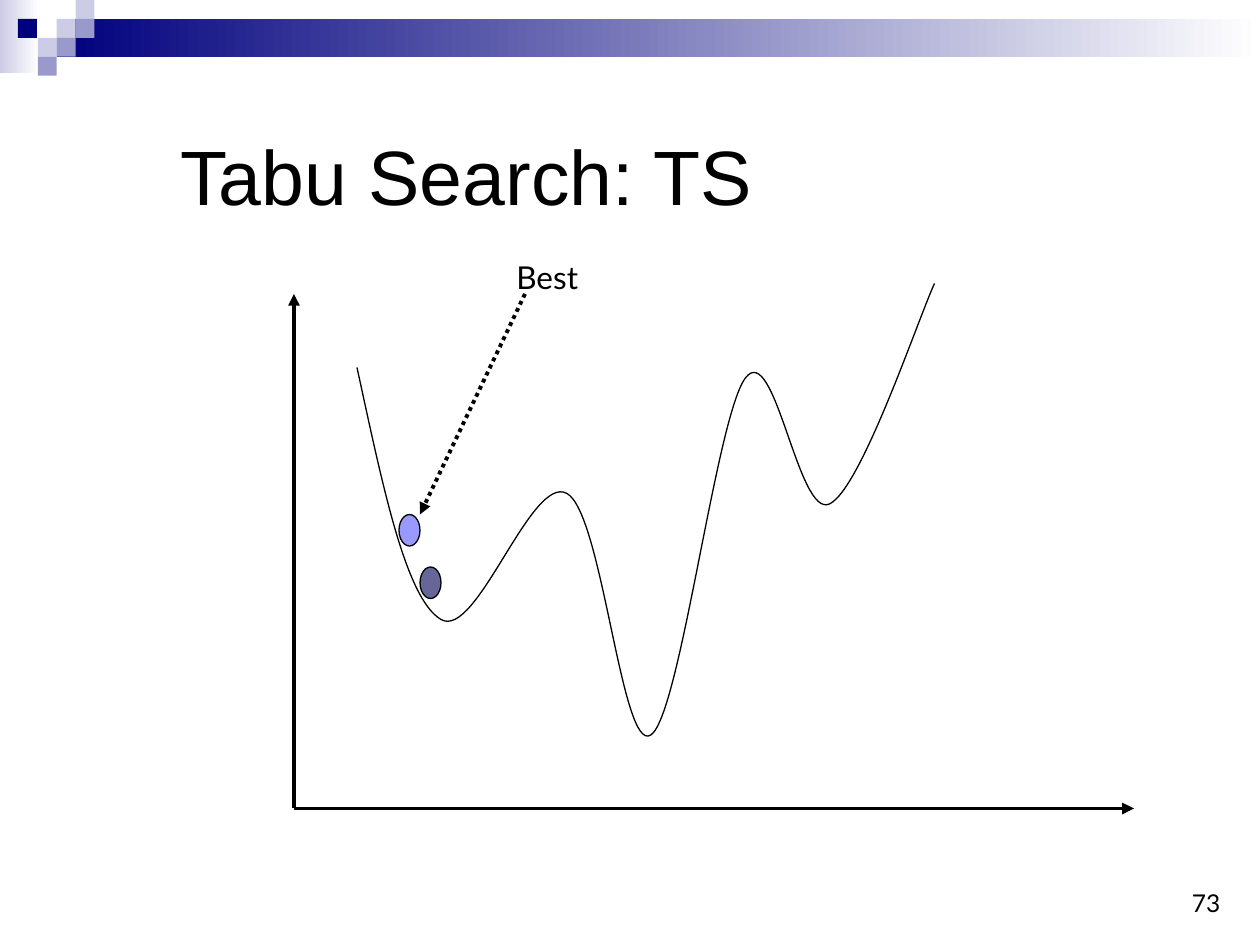
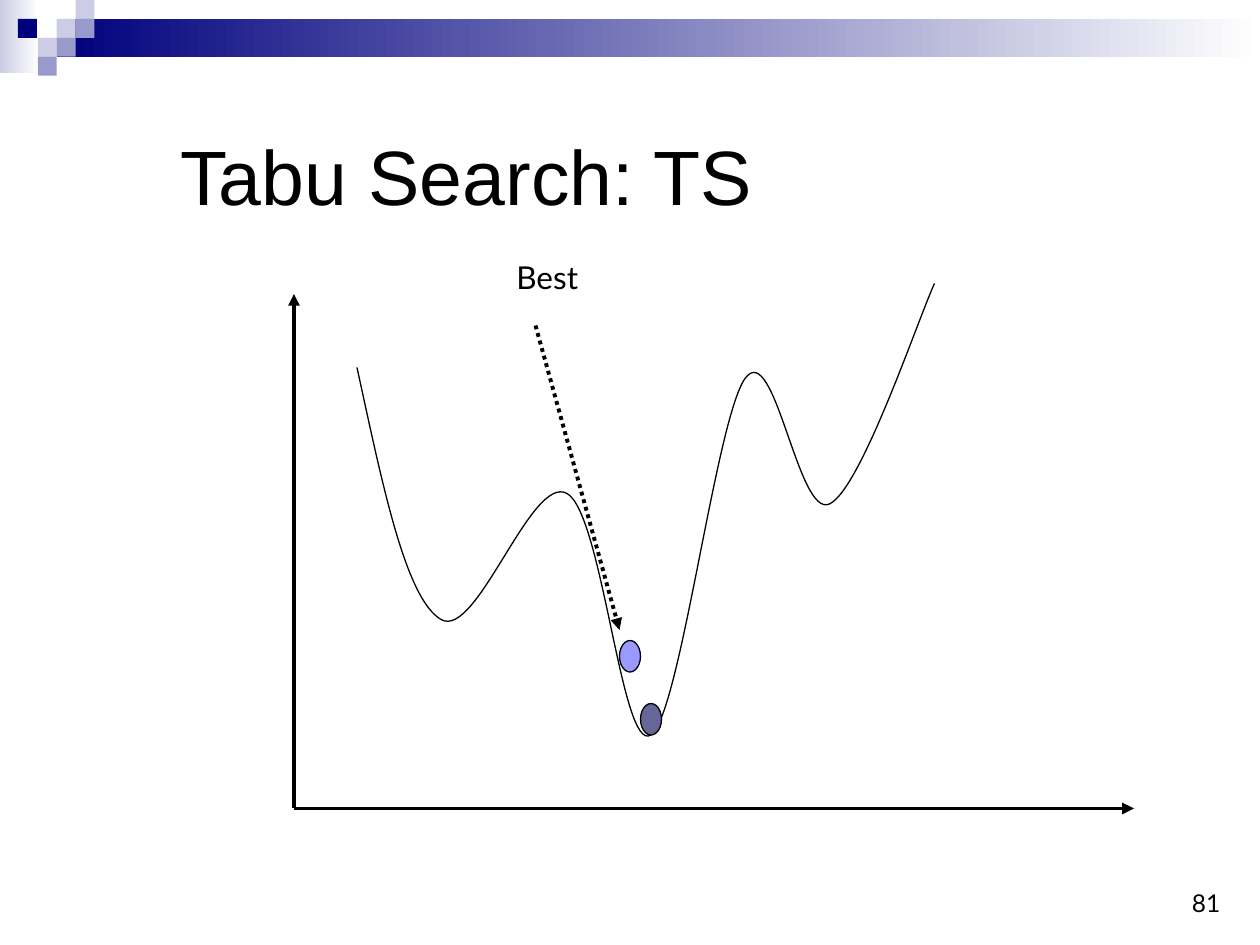
"""Build two slides that follow tabu search along a cost curve."""
from pptx import Presentation
from pptx.dml.color import RGBColor
from pptx.enum.dml import MSO_LINE
from pptx.enum.shapes import MSO_CONNECTOR, MSO_SHAPE
from pptx.enum.text import MSO_ANCHOR, PP_ALIGN
from pptx.oxml.ns import qn
from pptx.util import Inches, Pt
from lxml import etree

WIDTH, HEIGHT = Inches(10), Inches(7.5)
COLUMNS, ROWS = 120, 90
TILE = 1.8

BLACK = RGBColor(0x00, 0x00, 0x00)
WHITE = RGBColor(0xFF, 0xFF, 0xFF)
NAVY = RGBColor(0x00, 0x00, 0x7D)
LAVENDER = RGBColor(0xCC, 0xCC, 0xE6)
PERIWINKLE = RGBColor(0x99, 0x99, 0xCC)
BEST_BLUE = RGBColor(0x99, 0x99, 0xFF)
CURRENT_BLUE = RGBColor(0x66, 0x66, 0x99)

TITLE_FONT, BODY_FONT = "Arial", "Lato"
RECTANGLE, OVAL = MSO_SHAPE.RECTANGLE, MSO_SHAPE.OVAL
STRAIGHT = MSO_CONNECTOR.STRAIGHT
DOTTED = MSO_LINE.ROUND_DOT
LEFT, RIGHT = PP_ALIGN.LEFT, PP_ALIGN.RIGHT
TOP, MIDDLE, BOTTOM = MSO_ANCHOR.TOP, MSO_ANCHOR.MIDDLE, MSO_ANCHOR.BOTTOM
ARROW_AT_START, ARROW_AT_END = "a:headEnd", "a:tailEnd"

TILES = [(3, 1, LAVENDER), (4, 0, LAVENDER), (4, 1, PERIWINKLE),
         (2, 2, LAVENDER), (0.95, 1, NAVY), (3, 2, PERIWINKLE),
         (2, 3, PERIWINKLE)]

ORIGIN, X_END, Y_END = (28, 77), (108, 77), (28, 28)
CURVE_START = (34, 35)
CURVE = [(36.4, 46), (38.6, 57), (42, 59),
         (45.4, 61), (50.6, 45.1), (54, 47),
         (57.4, 48.9), (59.2, 71.9), (62, 70),
         (64.8, 68.1), (68.2, 39.7), (71, 36),
         (73.8, 32.3), (76, 49.4), (79, 48),
         (82, 46.6), (87.4, 30.5), (89, 27)]

SEARCH_STATES = [
    {"number": "73", "best": (38, 49), "current": (40, 54),
     "pointer": ((50, 28), (40, 49))},
    {"number": "81", "best": (59, 61), "current": (61, 67),
     "pointer": ((51, 31), (59, 60))},
]


def across(columns):
    """Turn grid columns into a length."""
    return round(WIDTH * columns / COLUMNS)


def down(rows):
    """Turn grid rows into a length."""
    return round(HEIGHT * rows / ROWS)


def add_block(page, kind, place, color, fade=False, outlined=False):
    """Add a filled preset shape, optionally fading to white."""
    left, top, width, height = place
    block = page.shapes.add_shape(
        kind, across(left), down(top), across(width), down(height))
    block.shadow.inherit = False
    if fade:
        block.fill.gradient()
        block.fill.gradient_angle = 0
        for stop, shade in zip(block.fill.gradient_stops, (color, WHITE)):
            stop.color.rgb = shade
    else:
        block.fill.solid()
        block.fill.fore_color.rgb = color
    if outlined:
        block.line.color.rgb = BLACK
        block.line.width = Pt(0.75)
    else:
        block.line.fill.background()


def add_text(page, place, text, size, font=BODY_FONT, align=LEFT, anchor=TOP):
    """Add a one-line text box."""
    left, top, width, height = place
    box = page.shapes.add_textbox(
        across(left), down(top), across(width), down(height))
    frame = box.text_frame
    frame.word_wrap = True
    frame.vertical_anchor = anchor
    para = frame.paragraphs[0]
    para.alignment = align
    span = para.add_run()
    span.text = text
    span.font.name = font
    span.font.size = Pt(size)
    span.font.color.rgb = BLACK


def add_arrow(page, start, end, tip=ARROW_AT_END, dash=None):
    """Add a straight arrow between two grid points."""
    arrow = page.shapes.add_connector(
        STRAIGHT, across(start[0]), down(start[1]),
        across(end[0]), down(end[1]))
    arrow.line.color.rgb = BLACK
    arrow.line.width = Pt(2.25)
    if dash is not None:
        arrow.line.dash_style = dash
    etree.SubElement(arrow.get_or_add_ln(), qn(tip), type="triangle")
    etree.SubElement(arrow.element.spPr, qn("a:effectLst"))


def bend_segments(outline):
    """Turn each three straight segments into one cubic curve."""
    segments = list(outline.element.iter(qn("a:lnTo")))
    for first in range(0, len(segments), 3):
        trio = segments[first:first + 3]
        bend = etree.SubElement(trio[0].getparent(), qn("a:cubicBezTo"))
        for segment in trio:
            bend.append(segment[0])
            segment.getparent().remove(segment)


def add_cost_curve(page):
    """Draw the cost curve with its valleys and peaks."""
    builder = page.shapes.build_freeform(
        across(CURVE_START[0]), down(CURVE_START[1]))
    builder.add_line_segments(
        [(across(x), down(y)) for x, y in CURVE], close=False)
    curve = builder.convert_to_shape()
    bend_segments(curve)
    curve.shadow.inherit = False
    curve.fill.background()
    curve.line.color.rgb = BLACK
    curve.line.width = Pt(0.75)


def add_header(page):
    """Add the fading band and the mosaic of tiles."""
    add_block(page, RECTANGLE, (0, 0, 3.72, 6.96), LAVENDER, fade=True)
    add_block(page, RECTANGLE, (3 * TILE, TILE, COLUMNS - 3 * TILE, 2 * TILE),
              NAVY, fade=True)
    for column, row, color in TILES:
        add_block(page, RECTANGLE, (column * TILE, row * TILE, TILE, TILE),
                  color)


def add_search_page(deck, state):
    """Add one slide showing a state of the search."""
    page = deck.slides.add_slide(deck.slide_layouts[6])
    add_header(page)
    add_text(page, (92.4, 82, 25, 6), state["number"], 14,
             align=RIGHT, anchor=BOTTOM)
    add_text(page, (16, 11.25, 102.25, 10.8), "Tabu Search: TS", 44,
             font=TITLE_FONT, anchor=MIDDLE)
    add_arrow(page, Y_END, ORIGIN, tip=ARROW_AT_START)
    add_arrow(page, ORIGIN, X_END)
    add_cost_curve(page)
    add_block(page, OVAL, (*state["best"], 2, 3), BEST_BLUE, outlined=True)
    add_text(page, (48, 24, 14, 4.8), "Best", 18)
    add_arrow(page, *state["pointer"], dash=DOTTED)
    add_block(page, OVAL, (*state["current"], 2, 3), CURRENT_BLUE,
              outlined=True)


def main():
    """Build and save the deck."""
    deck = Presentation()
    deck.slide_width, deck.slide_height = WIDTH, HEIGHT
    for state in SEARCH_STATES:
        add_search_page(deck, state)
    deck.save("out.pptx")


if __name__ == "__main__":
    main()
